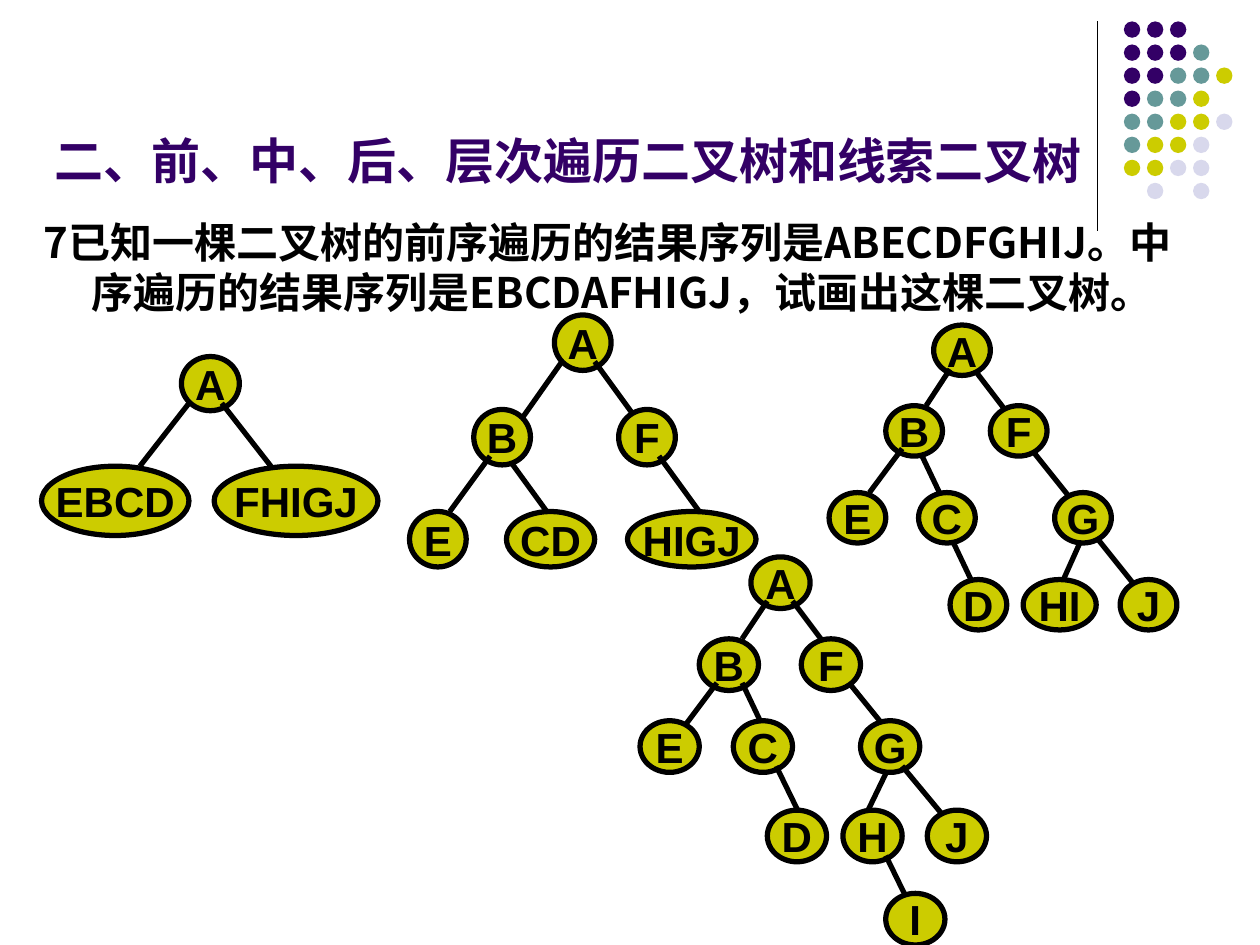
from dataclasses import dataclass

from lxml import etree
from pptx import Presentation
from pptx.dml.color import RGBColor
from pptx.enum import shapes, text
from pptx.oxml import ns
from pptx.util import Inches, Pt

BLACK = RGBColor(0x00, 0x00, 0x00)
PURPLE = RGBColor(0x33, 0x00, 0x66)
TEAL = RGBColor(0x66, 0x99, 0x99)
OLIVE = RGBColor(0xCC, 0xCC, 0x00)
LILAC = RGBColor(0xD8, 0xD8, 0xEC)

DOT_COLORS = {"P": PURPLE, "T": TEAL, "O": OLIVE, "L": LILAC}
DOT_ROWS = ["PPP", "PPPT", "PPTTO", "PTTO", "TTOOL", "TOOL", "OOLL", " L L"]


@dataclass
class Node:
    """A tree node: its level, left and width, and the edge from its parent."""
    label: str
    level: int
    left: float
    width: float
    edge: tuple = ()
    edge_behind: bool = False


# Each tree: origin, (top, height) of its levels, nodes relative to the origin
TREES = [
    ((0.33, 2.83), [(0, 0.43), (0.87, 0.55)], [
        Node("A", 0, 1.11, 0.46),
        Node("EBCD", 1, 0, 1.17, (1.17, 0.37, 0.78, 0.87)),
        Node("FHIGJ", 1, 1.37, 1.3, (1.43, 0.37, 1.82, 0.87)),
    ]),
    ((3.25, 2.5), [(0, 0.44), (0.75, 0.44), (1.56, 0.44)], [
        Node("A", 0, 1.15, 0.45),
        Node("B", 1, 0.51, 0.45, (1.21, 0.37, 0.9, 0.81)),
        Node("F", 1, 1.66, 0.45, (1.47, 0.37, 1.79, 0.81)),
        Node("E", 2, 0, 0.45, (0.64, 1.12, 0.32, 1.56)),
        Node("CD", 2, 0.77, 0.7, (0.77, 1.12, 1.09, 1.56), True),
        Node("HIGJ", 2, 1.73, 1.02, (1.98, 1.12, 2.3, 1.56)),
    ]),
    ((6.58, 2.58), [(0, 0.4), (0.64, 0.4), (1.33, 0.4), (2.02, 0.4)], [
        Node("A", 0, 0.83, 0.45),
        Node("B", 1, 0.45, 0.45, (0.96, 0.35, 0.77, 0.64)),
        Node("F", 1, 1.28, 0.45, (1.15, 0.35, 1.41, 0.69), True),
        Node("E", 2, 0, 0.45, (0.58, 0.98, 0.32, 1.33)),
        Node("C", 2, 0.71, 0.45, (0.71, 0.98, 0.9, 1.38), True),
        Node("G", 2, 1.79, 0.45, (1.6, 0.98, 1.92, 1.38), True),
        Node("D", 3, 0.96, 0.45, (0.96, 1.67, 1.15, 2.07), True),
        Node("HI", 3, 1.54, 0.58, (1.99, 1.73, 1.86, 2.02)),
        Node("J", 3, 2.31, 0.45, (2.11, 1.67, 2.43, 2.07), True),
    ]),
    ((5.08, 4.42),
     [(0, 0.41), (0.65, 0.41), (1.3, 0.41), (2.01, 0.41), (2.67, 0.41)], [
        Node("A", 0, 0.88, 0.47),
        Node("B", 1, 0.47, 0.47, (1.01, 0.35, 0.81, 0.65)),
        Node("F", 1, 1.28, 0.47, (1.21, 0.35, 1.48, 0.71)),
        Node("E", 2, 0, 0.47, (0.61, 1, 0.34, 1.36)),
        Node("C", 2, 0.74, 0.47, (0.81, 1, 1.01, 1.42)),
        Node("G", 2, 1.75, 0.47, (1.61, 0.94, 1.95, 1.36), True),
        Node("D", 3, 1.01, 0.47, (1.08, 1.66, 1.28, 2.07)),
        Node("H", 3, 1.61, 0.47, (1.95, 1.72, 1.81, 2.01)),
        Node("J", 3, 2.28, 0.47, (2.08, 1.66, 2.42, 2.07)),
        Node("I", 4, 1.95, 0.47, (1.95, 2.37, 2.15, 2.78)),
    ]),
]


def add_line(parent, x1, y1, x2, y2, width):
    line = parent.shapes.add_connector(
        shapes.MSO_CONNECTOR.STRAIGHT,
        Inches(x1), Inches(y1), Inches(x2), Inches(y2))
    line.line.color.rgb = BLACK
    line.line.width = Pt(width)
    etree.SubElement(line._element.spPr, ns.qn("a:effectLst"))


def add_ellipse(parent, left, top, width, height, color):
    sp = parent.shapes.add_shape(
        shapes.MSO_SHAPE.OVAL,
        Inches(left), Inches(top), Inches(width), Inches(height))
    sp.shadow.inherit = False
    sp.fill.solid()
    sp.fill.fore_color.rgb = color
    sp.line.fill.background()
    return sp


def set_font(p, name, size, color):
    p.font.name = name
    p.font.size = Pt(size)
    p.font.bold = True
    p.font.color.rgb = color


def add_corner(slide, left, top):
    """Vertical rule with the dot pattern to its right."""
    add_line(slide, left, top, left, top + 1.66, 0.75)
    group = slide.shapes.add_group_shape()
    pitch = 0.183
    for row, codes in enumerate(DOT_ROWS):
        for col, code in enumerate(codes):
            if code in DOT_COLORS:
                add_ellipse(group, left + 0.21 + col * pitch,
                            top + row * pitch, 0.13, 0.13, DOT_COLORS[code])


def add_title(slide, left, top, width, height):
    title = slide.shapes.title
    title.left, title.top = Inches(left), Inches(top)
    title.width, title.height = Inches(width), Inches(height)
    tf = title.text_frame
    tf.text = "二、前、中、后、层次遍历二叉树和线索二叉树"
    tf.auto_size = text.MSO_AUTO_SIZE.NONE
    tf.vertical_anchor = text.MSO_ANCHOR.BOTTOM
    p = tf.paragraphs[0]
    p.alignment = text.PP_ALIGN.LEFT
    set_font(p, "Times New Roman", 28, PURPLE)


def add_question(slide, left, top, width, height):
    box = slide.shapes.add_textbox(
        Inches(left), Inches(top), Inches(width), Inches(height))
    tf = box.text_frame
    tf.word_wrap = True
    p = tf.paragraphs[0]
    p.text = ("7已知一棵二叉树的前序遍历的结果序列是ABECDFGHIJ。"
              "中序遍历的结果序列是EBCDAFHIGJ，试画出这棵二叉树。")
    pPr = p._p.get_or_add_pPr()
    pPr.set("marL", str(Inches(0.38)))
    pPr.set("indent", str(-Inches(0.38)))
    set_font(p, "Noto Sans CJK SC", 24, BLACK)


def add_tree(slide, origin, levels, nodes):
    left, top = origin
    group = slide.shapes.add_group_shape()

    def add_edge(node):
        x1, y1, x2, y2 = node.edge
        add_line(group, left + x1, top + y1, left + x2, top + y2, 3)

    for node in nodes:
        if node.edge_behind:
            add_edge(node)
    for node in nodes:
        if node.edge and not node.edge_behind:
            add_edge(node)
        level_top, height = levels[node.level]
        sp = add_ellipse(group, left + node.left, top + level_top,
                         node.width, height, OLIVE)
        sp.line.color.rgb = BLACK
        sp.line.width = Pt(3)
        tf = sp.text_frame
        tf.word_wrap = False
        tf.vertical_anchor = text.MSO_ANCHOR.MIDDLE
        p = tf.paragraphs[0]
        p.text = node.label
        p.alignment = text.PP_ALIGN.CENTER
        set_font(p, "Arial", 24, BLACK)


def main():
    prs = Presentation()
    prs.slide_width, prs.slide_height = Inches(10), Inches(7.5)
    slide = prs.slides.add_slide(prs.slide_layouts[5])
    add_corner(slide, 8.71, 0.17)
    add_title(slide, 0.33, 0.13, 8.42, 1.42)
    add_question(slide, 0.25, 1.67, 9.33, 4.5)
    for tree in TREES:
        add_tree(slide, *tree)
    prs.save("out.pptx")


if __name__ == "__main__":
    main()
